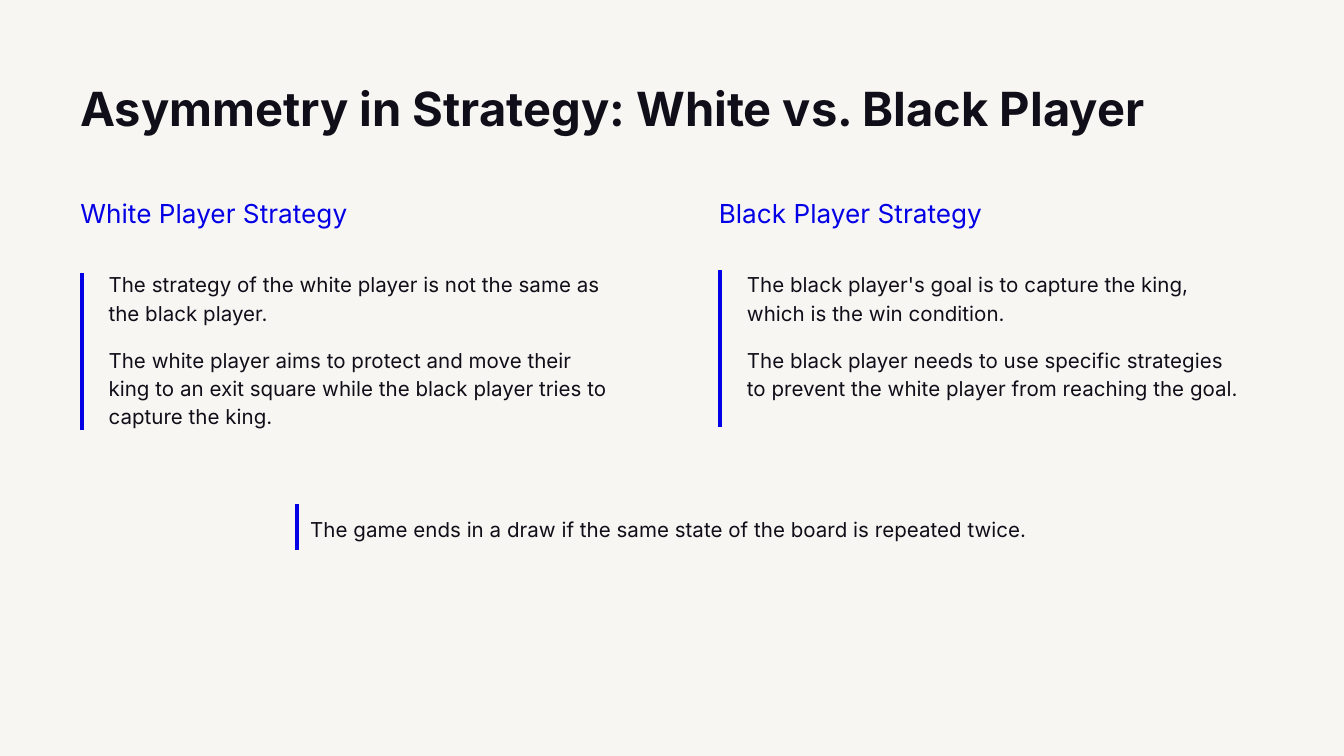
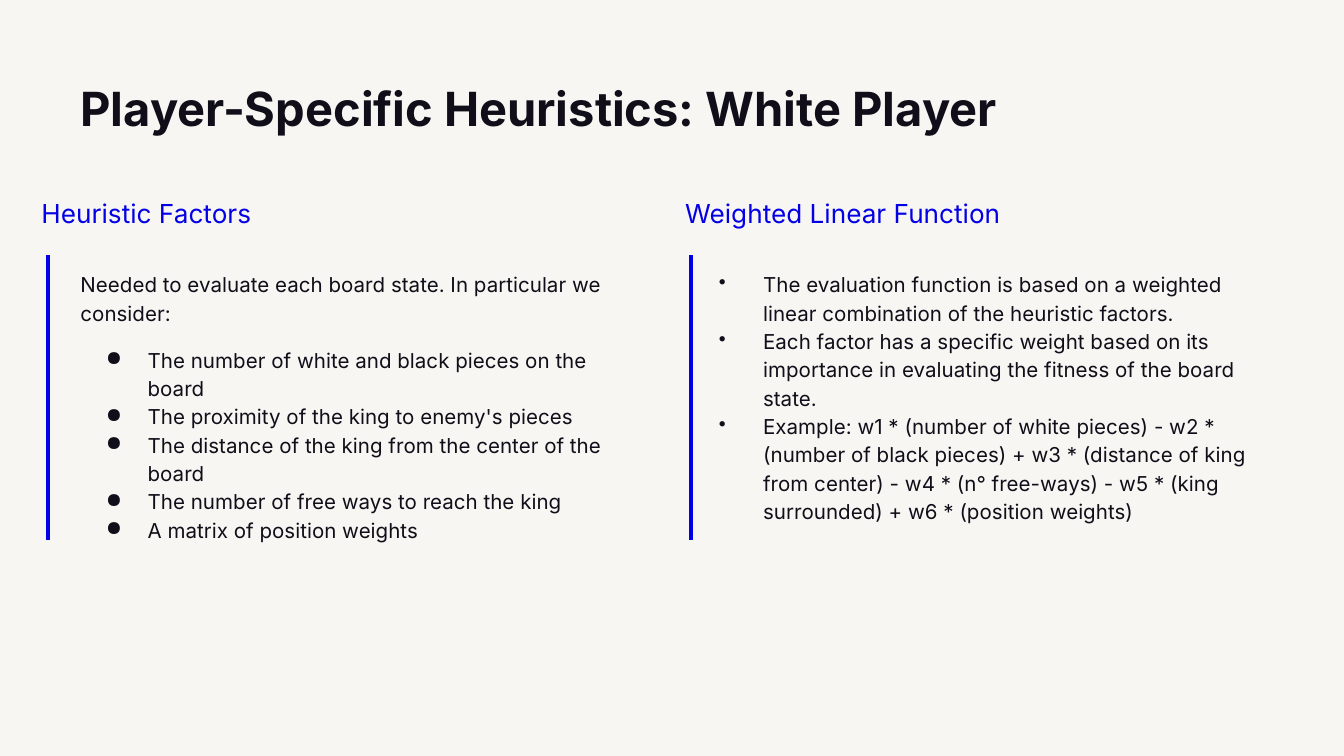
from lxml import etree
from pptx import Presentation
from pptx.dml.color import RGBColor
from pptx.enum.shapes import MSO_CONNECTOR
from pptx.enum.text import MSO_ANCHOR
from pptx.oxml.ns import qn
from pptx.util import Inches, Pt

STRAIGHT = MSO_CONNECTOR.STRAIGHT
TOP, MIDDLE = MSO_ANCHOR.TOP, MSO_ANCHOR.MIDDLE

PAPER, INK, BLUE = "F8F6F3", "100F19", "0400E5"
FONT = "Inter"
BODY_SIZE = 11

WIDTH = Inches(10)
HEIGHT = WIDTH * 9 // 16
COLUMN = WIDTH / 100
ROW = HEIGHT / 56.25

HEADING_WIDTH, HEADING_HEIGHT = 41.3, 6.3
PANEL_TOP = 12.7


def cols(count):
    return round(count * COLUMN)


def rows(count):
    return round(count * ROW)


def rgb(value):
    return RGBColor.from_string(value)


def add_text(slide, box, items, size, color=INK, bold=False, anchor=TOP):
    left, top, width, height = box
    frame = slide.shapes.add_textbox(
        cols(left), rows(top), cols(width), rows(height)).text_frame
    frame.word_wrap = True
    frame.vertical_anchor = anchor
    frame.margin_left = frame.margin_right = cols(1)
    frame.margin_top = frame.margin_bottom = rows(1)
    for index, item in enumerate(items):
        paragraph = frame.add_paragraph() if index else frame.paragraphs[0]
        paragraph.text = item
        paragraph.font.name = FONT
        paragraph.font.size = Pt(size)
        paragraph.font.bold = bold
        paragraph.font.color.rgb = rgb(color)
    return frame.paragraphs


def add_body(slide, box, items):
    paragraphs = add_text(slide, box, items, BODY_SIZE)
    for paragraph in paragraphs:
        paragraph.line_spacing = 1.15
    return paragraphs


def indent(paragraph, left, first=0, bullet=None):
    properties = paragraph._p.get_or_add_pPr()
    properties.set("marL", str(cols(left)))
    properties.set("indent", str(cols(first)))
    if bullet:
        etree.SubElement(properties, qn("a:buChar")).set("char", bullet)


def add_rule(slide, x, top, bottom):
    rule = slide.shapes.add_connector(
        STRAIGHT, cols(x), rows(top), cols(x), rows(bottom))
    rule.line.color.rgb = rgb(BLUE)
    rule.line.width = Pt(2.25)
    etree.SubElement(rule._element.spPr, qn("a:effectLst"))


def add_panel(slide, left, heading, items, body, rule):
    add_text(slide, (left, PANEL_TOP, HEADING_WIDTH, HEADING_HEIGHT),
             [heading], 14, BLUE, anchor=MIDDLE)
    shift, width, height = body
    body_top = PANEL_TOP + HEADING_HEIGHT
    rule_shift, rule_drop, rule_height = rule
    rule_top = body_top + rule_drop
    add_rule(slide, left + rule_shift, rule_top, rule_top + rule_height)
    return add_body(slide, (left + shift, body_top, width, height), items)


def add_slide(deck, title):
    slide = deck.slides.add_slide(deck.slide_layouts[6])
    slide.background.fill.solid()
    slide.background.fill.fore_color.rgb = rgb(PAPER)
    add_text(slide, (5, 4.9, 90, 6.3), [title], 25.2, bold=True, anchor=MIDDLE)
    return slide


def add_note(slide, box, note):
    left, top, _, height = box
    add_body(slide, box, [note])
    add_rule(slide, left, top + 0.3, top + height - 0.2)


def build_strategy(deck):
    slide = add_slide(deck, "Asymmetry in Strategy: White vs. Black Player")
    players = [
        (5, 1.3, "White Player Strategy", [
            "The strategy of the white player is not the same as the black player.",
            "The white player aims to protect and move their king to an exit square "
            "while the black player tries to capture the king."]),
        (52.5, 1.1, "Black Player Strategy", [
            "The black player's goal is to capture the king, which is the win condition.",
            "The black player needs to use specific strategies to prevent the white "
            "player from reaching the goal."]),
    ]
    for left, drop, heading, items in players:
        paragraphs = add_panel(slide, left, heading, items,
                               body=(-1.7, 43, 13.9), rule=(1.1, drop, 11.7))
        for paragraph in paragraphs:
            indent(paragraph, 3.8)
        paragraphs[1].space_before = Pt(10)
    add_note(slide, (22.1, 37.2, 55.8, 3.9),
             "The game ends in a draw if the same state of the board is repeated twice.")


def build_heuristics(deck):
    slide = add_slide(deck, "Player-Specific Heuristics: White Player")
    factors = add_panel(slide, 2.1, "Heuristic Factors", [
        "Needed to evaluate each board state. In particular we consider:",
        "The number of white and black pieces on the board",
        "The proximity of the king to enemy's pieces",
        "The distance of the king from the center of the board",
        "The number of free ways to reach the king",
        "A matrix of position weights",
    ], body=(2.9, 40.9, 21.2), rule=(1.5, 0, 21.2))
    factors[1].space_before = Pt(10)
    for factor in factors[1:]:
        indent(factor, 5, -3.1, "●")

    weights = add_panel(slide, 50, "Weighted Linear Function", [
        "The evaluation function is based on a weighted linear combination of the "
        "heuristic factors.",
        "Each factor has a specific weight based on its importance in evaluating "
        "the fitness of the board state.",
        "Example: w1 * (number of white pieces) - w2 * (number of black pieces) + "
        "w3 * (distance of king from center) - w4 * (n° free-ways) - "
        "w5 * (king surrounded) + w6 * (position weights)",
    ], body=(0.8, 43, 29.9), rule=(1.4, 0, 21.2))
    for weight in weights:
        indent(weight, 5, -3.3, "•")


def main():
    deck = Presentation()
    deck.slide_width, deck.slide_height = WIDTH, HEIGHT
    build_strategy(deck)
    build_heuristics(deck)
    deck.save("out.pptx")


if __name__ == "__main__":
    main()
